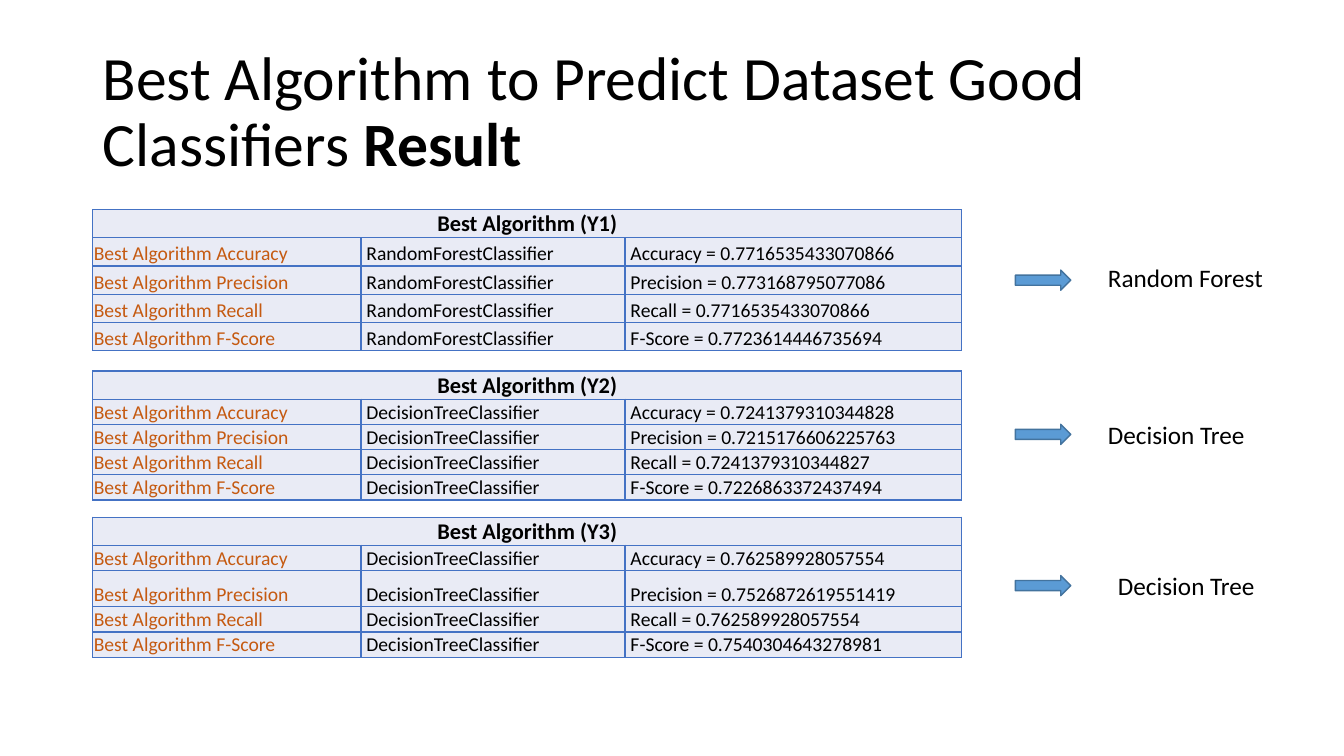
import pptx
import pptx.dml.color
import pptx.enum.shapes
import pptx.enum.text
import pptx.oxml
import pptx.oxml.ns
import pptx.util
from dataclasses import dataclass

Inches = pptx.util.Inches
Pt = pptx.util.Pt
Color = pptx.dml.color.RGBColor.from_string
Anchor = pptx.enum.text.MSO_ANCHOR


@dataclass(frozen=True)
class Theme:
    font: str = "Calibri"
    ink: str = "000000"
    label: str = "C55A11"
    cell: str = "E9EBF5"
    border: str = "4472C4"
    arrow: str = "5B9BD5"
    arrow_line: str = "43739E"
    title_size: int = 44
    verdict_size: int = 18
    header_size: int = 16
    body_size: int = 14


theme = Theme()


def style_runs(para, size, color, bold=False):
    for span in para.runs:
        span.font.name = theme.font
        span.font.size = Pt(size)
        span.font.bold = bold
        span.font.color.rgb = Color(color)


def style_cell(cell):
    cell.margin_left = cell.margin_right = cell.margin_top = Inches(0.01)
    cell.margin_bottom = 0
    cell.vertical_anchor = Anchor.BOTTOM
    properties = cell._tc.get_or_add_tcPr()
    for side in ("lnL", "lnR", "lnT", "lnB"):
        properties.append(pptx.oxml.parse_xml(
            f'<a:{side} {pptx.oxml.ns.nsdecls("a")} w="12700"><a:solidFill>'
            f'<a:srgbClr val="{theme.border}"/></a:solidFill></a:{side}>'))
    cell.fill.solid()
    cell.fill.fore_color.rgb = Color(theme.cell)


deck = pptx.Presentation()
deck.slide_width = Inches(13.33)
deck.slide_height = Inches(7.5)
page = deck.slides.add_slide(deck.slide_layouts[6])

# Title
box = page.shapes.add_textbox(Inches(0.92), Inches(0.4), Inches(11.5), Inches(1.45))
box.text_frame.word_wrap = True
box.text_frame.vertical_anchor = Anchor.MIDDLE
para = box.text_frame.paragraphs[0]
para.line_spacing = 0.9
para.add_run().text = "Best Algorithm to Predict Dataset Good Classifiers "
para.add_run().text = "Result"
style_runs(para, theme.title_size, theme.ink)
para.runs[-1].font.bold = True

# Results: target, classifier, scores, table top, row heights,
# arrow top, then the verdict with its left, top and width
metrics = ("Accuracy", "Precision", "Recall", "F-Score")
column_widths = (2.66, 2.62, 3.34)
results = (
    ("Y1", "RandomForestClassifier",
     ("0.7716535433070866", "0.773168795077086", "0.7716535433070866", "0.7723614446735694"),
     2.08, (0.28, 0.28, 0.28, 0.28, 0.28), 2.68, "Random Forest", 10.89, 2.55, 1.75),
    ("Y2", "DecisionTreeClassifier",
     ("0.7241379310344828", "0.7215176606225763", "0.7241379310344827", "0.7226863372437494"),
     3.68, (0.28, 0.25, 0.25, 0.25, 0.25), 4.21, "Decision Tree", 10.89, 4.11, 1.57),
    ("Y3", "DecisionTreeClassifier",
     ("0.762589928057554", "0.7526872619551419", "0.762589928057554", "0.7540304643278981"),
     5.13, (0.28, 0.25, 0.36, 0.25, 0.25), 5.71, "Decision Tree", 10.99, 5.61, 1.57),
)

for (target, classifier, scores, table_top, row_heights, arrow_top,
     verdict, verdict_left, verdict_top, verdict_width) in results:
    # Score table
    table = page.shapes.add_table(
        len(row_heights), len(column_widths), Inches(0.92), Inches(table_top),
        Inches(sum(column_widths)), Inches(sum(row_heights))).table
    table.first_row = table.horz_banding = False
    for column, width in zip(table.columns, column_widths):
        column.width = Inches(width)
    for row, height in zip(table.rows, row_heights):
        row.height = Inches(height)
    for cell in table.iter_cells():
        style_cell(cell)

    header = table.cell(0, 0)
    header.merge(table.cell(0, 2))
    header.text_frame.text = f"Best Algorithm ({target})"
    para = header.text_frame.paragraphs[0]
    para.alignment = pptx.enum.text.PP_ALIGN.CENTER
    style_runs(para, theme.header_size, theme.ink, bold=True)

    for row, (metric, score) in enumerate(zip(metrics, scores), start=1):
        texts = (f"Best Algorithm {metric}", f" {classifier}", f" {metric} = {score}")
        for column, text in enumerate(texts):
            frame = table.cell(row, column).text_frame
            frame.text = text
            color = theme.label if column == 0 else theme.ink
            style_runs(frame.paragraphs[0], theme.body_size, color)

    # Verdict
    box = page.shapes.add_textbox(Inches(verdict_left), Inches(verdict_top),
                                  Inches(verdict_width), Inches(0.4))
    box.text_frame.word_wrap = False
    box.text_frame.auto_size = pptx.enum.text.MSO_AUTO_SIZE.SHAPE_TO_FIT_TEXT
    box.text_frame.text = verdict
    style_runs(box.text_frame.paragraphs[0], theme.verdict_size, theme.ink)

    # Arrow from table to verdict
    arrow = page.shapes.add_shape(pptx.enum.shapes.MSO_SHAPE.RIGHT_ARROW, Inches(10.07),
                                  Inches(arrow_top), Inches(0.55), Inches(0.2))
    arrow.shadow.inherit = False
    arrow.fill.solid()
    arrow.fill.fore_color.rgb = Color(theme.arrow)
    arrow.line.color.rgb = Color(theme.arrow_line)
    arrow.line.width = Pt(1)

deck.save("out.pptx")
